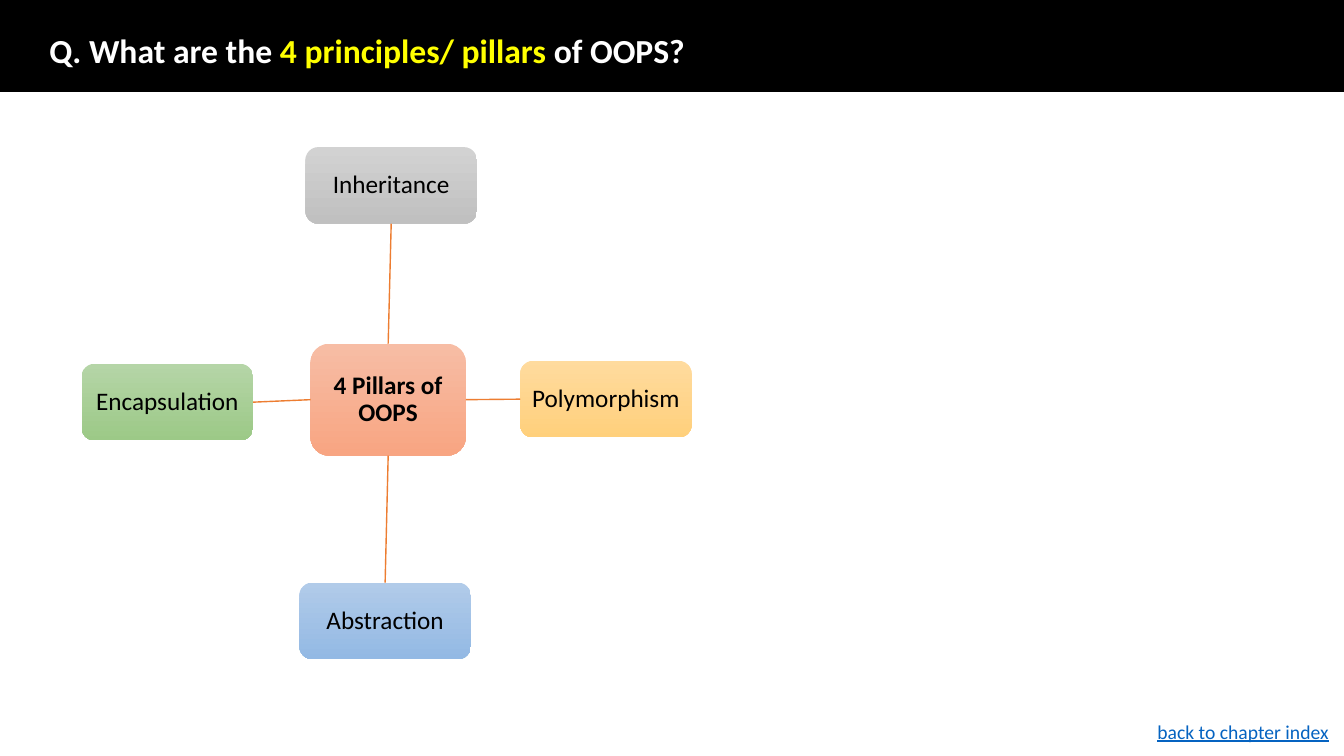
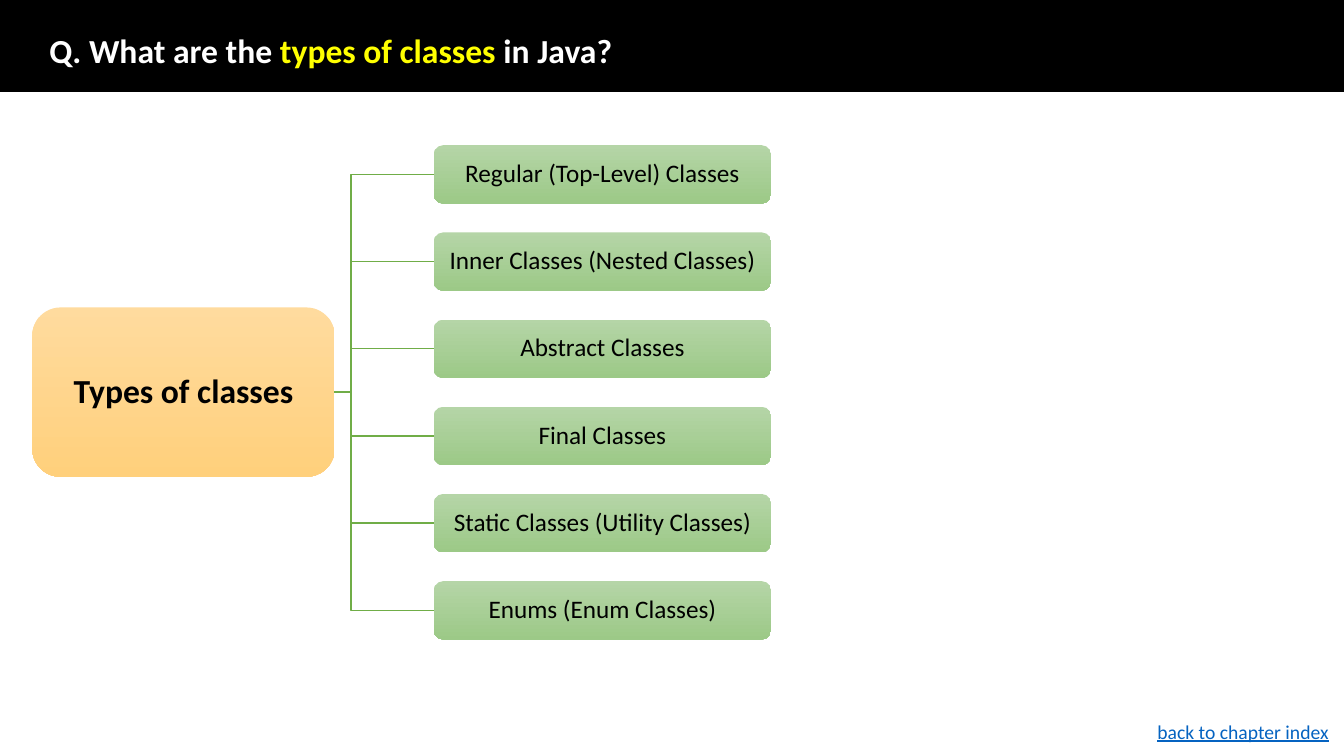
from lxml import etree
from pptx import Presentation
from pptx.dml.color import RGBColor
from pptx.enum.shapes import MSO_CONNECTOR, MSO_SHAPE
from pptx.enum.text import MSO_ANCHOR, MSO_AUTO_SIZE, PP_ALIGN
from pptx.oxml.ns import qn
from pptx.util import Inches, Pt

COLORS = {
    "black": "000000",
    "white": "FFFFFF",
    "highlight": "FFFF00",
    "link": "0563C1",
    "orange line": "ED7D31",
    "green line": "70AD47",
}
GRADIENTS = {
    "orange": ("F7BDA5", "F8A582"),
    "gray": ("D2D2D2", "C0C0C0"),
    "yellow": ("FFDB9E", "FFD07C"),
    "blue": ("B1CBE9", "93B9E4"),
    "green": ("B5D5A7", "9CC987"),
}
TOP, LEFT, BOTTOM, RIGHT = range(4)  # connection sites of a rounded rectangle


def rgb(name):
    return RGBColor.from_string(COLORS[name])


class Deck:
    """Holds the shared style and the slide being built."""

    font_name = "Calibri"
    title_only_layout = 5

    def __init__(self):
        self.presentation = Presentation()
        self.presentation.slide_width = Inches(13.33)
        self.presentation.slide_height = Inches(7.5)
        self.slide = None

    def style(self, paragraph, size, color="black", bold=False):
        font = paragraph.font
        font.name, font.size, font.bold = self.font_name, Pt(size), bold
        font.color.rgb = rgb(color)

    def add_slide(self, *title_parts):
        """Start a slide with its band, title and footer; odd title parts are highlighted."""
        layout = self.presentation.slide_layouts[self.title_only_layout]
        self.slide = self.presentation.slides.add_slide(layout)
        self.title(title_parts)
        self.band()
        self.footer("back to chapter index")

    def title(self, parts):
        title = self.slide.shapes.title
        title.left, title.top = Inches(0.39), Inches(0.35)
        title.width, title.height = Inches(11.7), Inches(0.35)
        frame = title.text_frame
        frame.auto_size = MSO_AUTO_SIZE.NONE
        frame.vertical_anchor = MSO_ANCHOR.MIDDLE
        paragraph = frame.paragraphs[0]
        paragraph.alignment, paragraph.line_spacing = PP_ALIGN.LEFT, 0.9
        self.style(paragraph, 24, "white", bold=True)
        for index, part in enumerate(parts):
            run = paragraph.add_run()
            run.text = part
            if index % 2:
                run.font.color.rgb = rgb("highlight")

    def band(self):
        band = self.slide.shapes.add_shape(
            MSO_SHAPE.RECTANGLE, 0, 0, self.presentation.slide_width, Inches(0.91))
        band.shadow.inherit = False
        band.fill.solid()
        band.fill.fore_color.rgb = rgb("black")
        band.line.color.rgb = rgb("black")
        band.line.width = Pt(1)
        self.slide.shapes.title.element.addprevious(band.element)

    def footer(self, text):
        box = self.slide.shapes.add_textbox(
            Inches(11.38), Inches(7.09), Inches(1.95), Inches(0.34))
        box.text_frame.word_wrap = True
        paragraph = box.text_frame.paragraphs[0]
        paragraph.text = text
        self.style(paragraph, 14, "link")
        paragraph.font.underline = True

    def node(self, text, left, top, width, height, gradient,
             size=18, bold=False, margin=0.05):
        node = self.slide.shapes.add_shape(
            MSO_SHAPE.ROUNDED_RECTANGLE,
            Inches(left), Inches(top), Inches(width), Inches(height))
        node.shadow.inherit = False
        node.line.fill.background()
        node.fill.gradient()
        node.fill.gradient_angle = 270
        for stop, color in zip(node.fill.gradient_stops, GRADIENTS[gradient]):
            stop.color.rgb = RGBColor.from_string(color)
        frame = node.text_frame
        frame.word_wrap = True
        frame.vertical_anchor = MSO_ANCHOR.MIDDLE
        frame.margin_left = frame.margin_right = Inches(margin)
        frame.margin_top = frame.margin_bottom = Inches(margin)
        paragraph = frame.paragraphs[0]
        paragraph.text = text
        paragraph.alignment, paragraph.line_spacing = PP_ALIGN.CENTER, 0.9
        self.style(paragraph, size, bold=bold)
        return node

    def connector(self, kind, color, start=(0, 0), end=(0, 0)):
        points = [Inches(value) for value in (*start, *end)]
        connector = self.slide.shapes.add_connector(kind, *points)
        connector.line.color.rgb = rgb(color)
        connector.line.width = Pt(1)
        properties = connector.element.find(qn("p:spPr"))
        etree.SubElement(properties, qn("a:effectLst"))
        return connector

    def link(self, first, first_site, second, second_site):
        """Join two nodes with a straight line glued to their sides."""
        connector = self.connector(MSO_CONNECTOR.STRAIGHT, "orange line")
        connector.begin_connect(first, first_site)
        connector.end_connect(second, second_site)


def build_pillars(deck):
    deck.add_slide("Q. What are the ", "4 principles/ pillars", " of OOPS?")
    hub = deck.node("4 Pillars of OOPS", 3.08, 3.41, 1.54, 1.11, "orange", bold=True)
    pillars = [
        ("Inheritance", 3.03, 1.46, "gray", TOP, BOTTOM),
        ("Polymorphism", 5.16, 3.58, "yellow", RIGHT, LEFT),
        ("Abstraction", 2.97, 5.78, "blue", BOTTOM, TOP),
        ("Encapsulation", 0.81, 3.61, "green", LEFT, RIGHT),
    ]
    for text, left, top, gradient, hub_site, pillar_site in pillars:
        pillar = deck.node(text, left, top, 1.7, 0.76, gradient)
        deck.link(hub, hub_site, pillar, pillar_site)


def build_class_types(deck):
    deck.add_slide("Q. What are the ", "types of classes ", "in Java?")
    class_types = [
        "Regular (Top-Level) Classes",
        "Inner Classes (Nested Classes)",
        "Abstract Classes",
        "Final Classes",
        "Static Classes (Utility Classes)",
        "Enums (Enum Classes)",
    ]
    left, first_top, height, pitch = 4.3, 1.44, 0.58, 0.865
    root_middle = 3.89
    for index, text in enumerate(class_types):
        top = first_top + index * pitch
        deck.connector(MSO_CONNECTOR.ELBOW, "green line",
                       (2.66, root_middle), (left, top + height / 2))
        deck.node(text, left, top, 3.35, height, "green", margin=0.01)
    deck.node("Types of classes", 0.32, root_middle - 0.84, 3, 1.68, "yellow",
              size=24, bold=True, margin=0.02)


def main():
    deck = Deck()
    build_pillars(deck)
    build_class_types(deck)
    deck.presentation.save("out.pptx")


if __name__ == "__main__":
    main()
